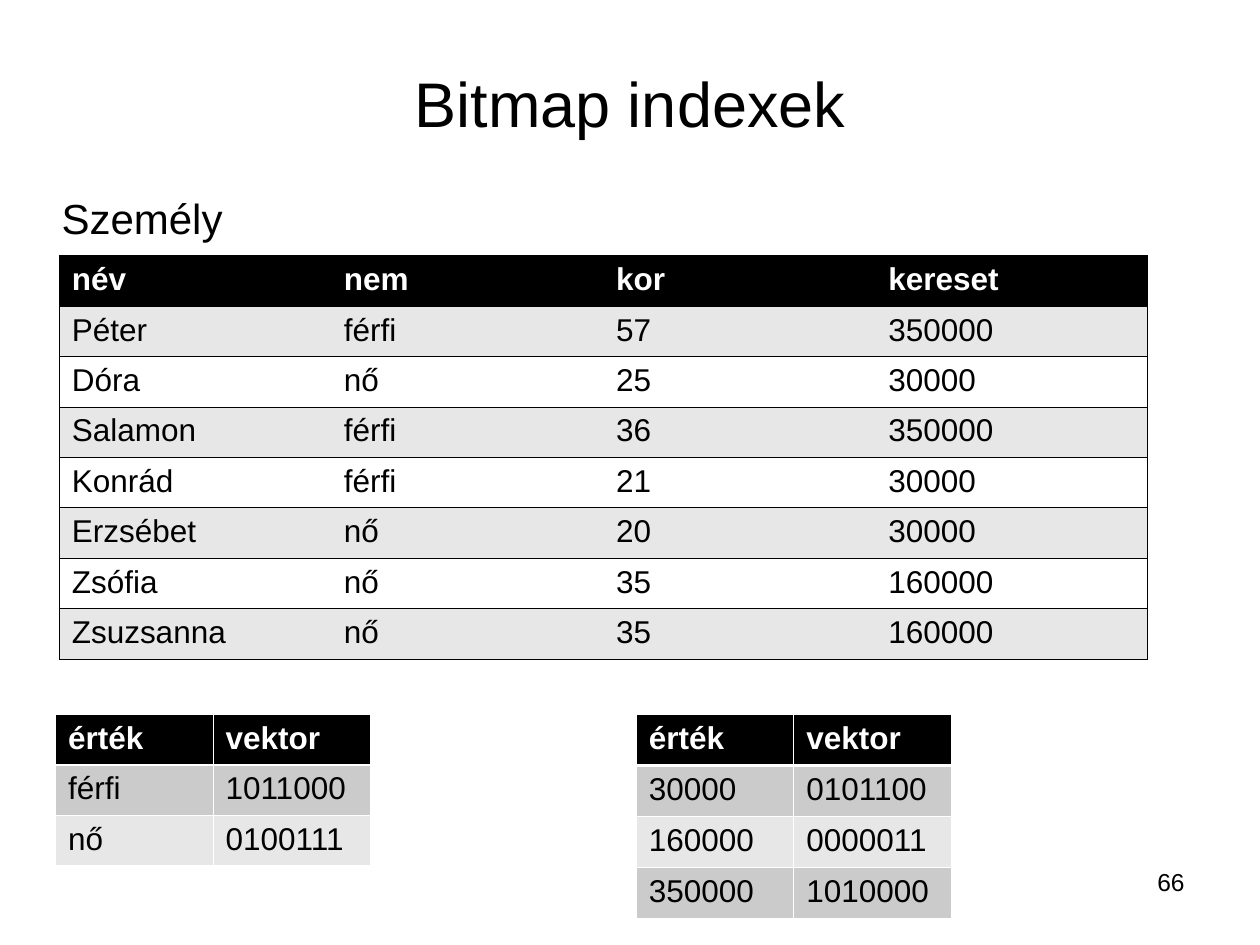
import pptx
import pptx.dml.color
import pptx.enum.text
import pptx.oxml.ns
import pptx.util
from lxml import etree

Inches = pptx.util.Inches
Pt = pptx.util.Pt
RGBColor = pptx.dml.color.RGBColor
Align = pptx.enum.text.PP_ALIGN
Anchor = pptx.enum.text.MSO_ANCHOR
qn = pptx.oxml.ns.qn

BLACK = RGBColor(0x00, 0x00, 0x00)
WHITE = RGBColor(0xFF, 0xFF, 0xFF)
LIGHT_GRAY = RGBColor(0xE7, 0xE7, 0xE7)
MID_GRAY = RGBColor(0xCB, 0xCB, 0xCB)
FONT = "Arial"
THIN, THICK = 0.45, 1.47

PEOPLE = [
    ("név", "nem", "kor", "kereset"),
    ("Péter", "férfi", "57", "350000"),
    ("Dóra", "nő", "25", "30000"),
    ("Salamon", "férfi", "36", "350000"),
    ("Konrád", "férfi", "21", "30000"),
    ("Erzsébet", "nő", "20", "30000"),
    ("Zsófia", "nő", "35", "160000"),
    ("Zsuzsanna", "nő", "35", "160000"),
]
GENDER_INDEX = [("érték", "vektor"), ("férfi", "1011000"), ("nő", "0100111")]
INCOME_INDEX = [
    ("érték", "vektor"),
    ("30000", "0101100"),
    ("160000", "0000011"),
    ("350000", "1010000"),
]


def format_paragraph(paragraph, size, color=BLACK, bold=False, align=Align.LEFT):
    """Set the font and alignment of a whole paragraph."""
    paragraph.alignment = align
    paragraph.font.name = FONT
    paragraph.font.size = Pt(size)
    paragraph.font.bold = bold
    paragraph.font.color.rgb = color


def add_title(slide, text):
    """Fill and place the title placeholder."""
    title = slide.shapes.title
    title.left, title.top = Inches(0.5), Inches(0.3)
    title.width, title.height = Inches(9), Inches(1.03)
    title.text_frame.text = text
    title.text_frame.vertical_anchor = Anchor.MIDDLE
    format_paragraph(title.text_frame.paragraphs[0], 36, align=Align.CENTER)


def add_text(slide, text, left, top, width, height, size, align=Align.LEFT, wrap=True):
    """Add a one-paragraph text box."""
    box = slide.shapes.add_textbox(
        Inches(left), Inches(top), Inches(width), Inches(height))
    box.text_frame.word_wrap = wrap
    box.text_frame.text = text
    format_paragraph(box.text_frame.paragraphs[0], size, align=align)


def set_border(cell, side, color, width):
    """Draw one cell border, or hide it when width is zero."""
    properties = cell._tc.get_or_add_tcPr()
    line = etree.SubElement(properties, qn(f"a:ln{side}"), w=str(int(Pt(width))))
    if width:
        fill = etree.SubElement(line, qn("a:solidFill"))
        etree.SubElement(fill, qn("a:srgbClr"), val=str(color))
    else:
        etree.SubElement(line, qn("a:noFill"))


def ruled_borders(row, column, last_column):
    """Give widths for an outer frame with horizontal rules only."""
    return {"L": THIN if column == 0 else 0,
            "R": THIN if column == last_column else 0,
            "T": THIN, "B": THIN}


def grid_borders(row, column, last_column):
    """Give widths for a full grid with a thick line under the header."""
    return {"L": THIN, "R": THIN,
            "T": THICK if row == 1 else THIN,
            "B": THICK if row == 0 else THIN}


def add_data_table(slide, data, left, top, width, height, bands, border_color, borders):
    """Add a table with a black header, banded rows and explicit borders."""
    last_column = len(data[0]) - 1
    table = slide.shapes.add_table(
        len(data), len(data[0]),
        Inches(left), Inches(top), Inches(width), Inches(height)).table
    for row, values in enumerate(data):
        table.rows[row].height = Inches(height / len(data))
        for column, value in enumerate(values):
            cell = table.cell(row, column)
            cell.text = value
            header = row == 0
            format_paragraph(cell.text_frame.paragraphs[0], 18,
                             WHITE if header else BLACK, header)
            for side, line_width in borders(row, column, last_column).items():
                set_border(cell, side, border_color, line_width)
            cell.fill.solid()
            cell.fill.fore_color.rgb = BLACK if header else bands[(row - 1) % 2]


def main():
    """Build the slide and save it."""
    presentation = pptx.Presentation()
    presentation.slide_width, presentation.slide_height = Inches(10), Inches(7.5)
    slide = presentation.slides.add_slide(presentation.slide_layouts[5])

    add_title(slide, "Bitmap indexek")
    add_data_table(slide, PEOPLE, 0.47, 2.03, 8.64, 3.2,
                   (LIGHT_GRAY, WHITE), BLACK, ruled_borders)
    add_text(slide, "66", 7.17, 6.83, 2.33, 0.52, 14, align=Align.RIGHT)
    for data, left, height in ((GENDER_INDEX, 0.44, 1.2), (INCOME_INDEX, 5.05, 1.62)):
        add_data_table(slide, data, left, 5.67, 2.5, height,
                       (MID_GRAY, LIGHT_GRAY), WHITE, grid_borders)
    add_text(slide, "Személy", 0.39, 1.48, 1.48, 0.5, 24, wrap=False)

    presentation.save("out.pptx")


main()
